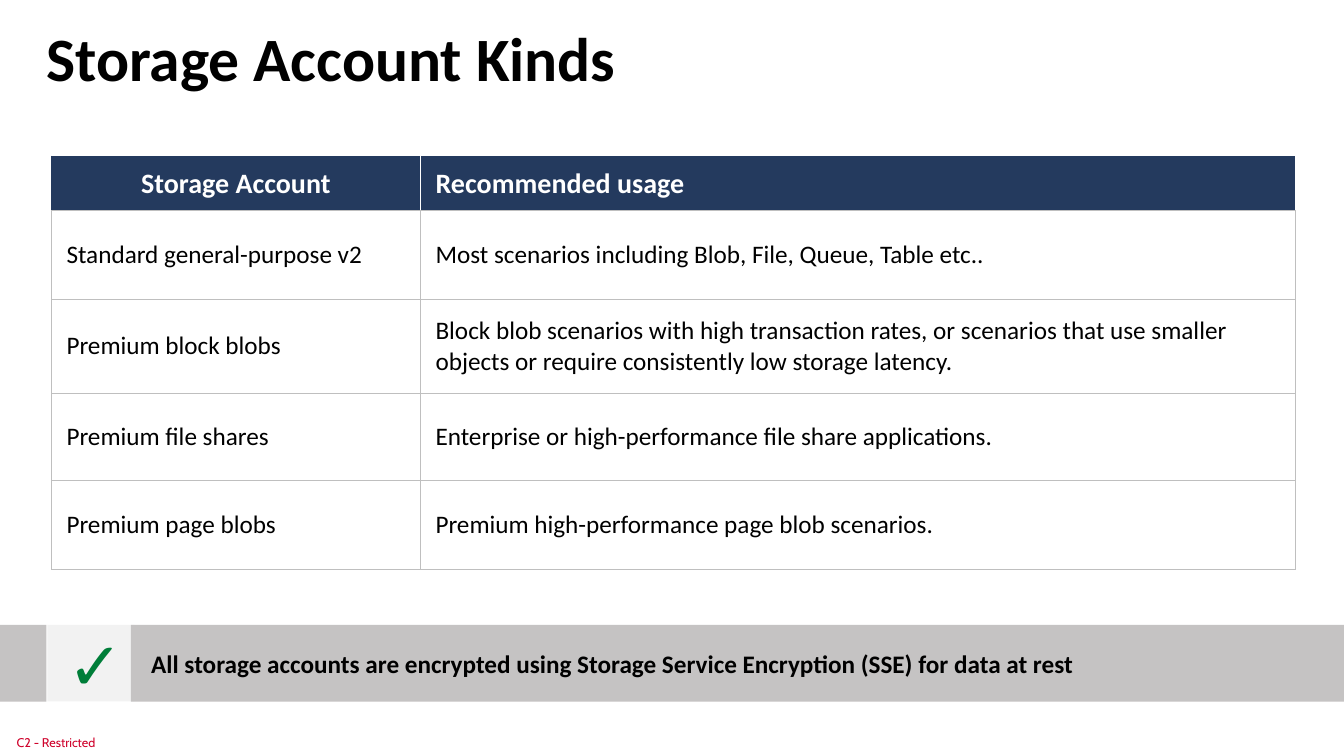
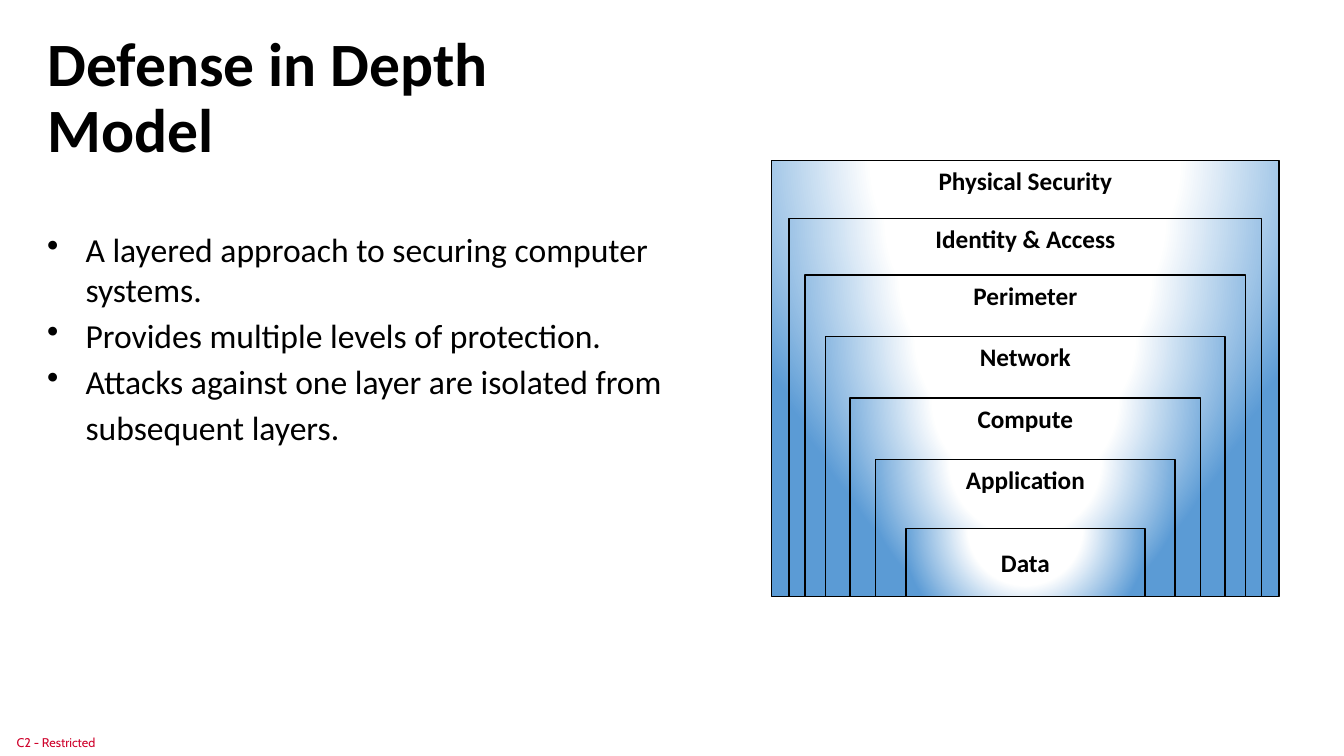
import pptx
import pptx.util
import pptx.dml.color
import pptx.enum.shapes
import pptx.enum.text
import pptx.oxml
import pptx.oxml.ns

Inches = pptx.util.Inches
Pt = pptx.util.Pt
RGBColor = pptx.dml.color.RGBColor
ALIGN = pptx.enum.text.PP_ALIGN
ANCHOR = pptx.enum.text.MSO_ANCHOR
RECT = pptx.enum.shapes.MSO_SHAPE.RECTANGLE

# Shared look
BLACK = RGBColor(0x00, 0x00, 0x00)
WHITE = RGBColor(0xFF, 0xFF, 0xFF)
NAVY = RGBColor(0x24, 0x3A, 0x5E)
RULE = RGBColor(0xBF, 0xBF, 0xBF)
BAND = RGBColor(0xC5, 0xC3, 0xC3)
TILE = RGBColor(0xF2, 0xF2, 0xF2)
GREEN = RGBColor(0x00, 0x7E, 0x39)
BLUE = RGBColor(0x5B, 0x9B, 0xD5)
RED = RGBColor(0xCF, 0x02, 0x2B)
FONT = "Calibri"
INSET = (0.1, 0.05, 0.1, 0.05)
WIDE, HIGH = 13.33, 7.5

# Slide content
KINDS = [
    ("Storage Account", "Recommended usage"),
    ("Standard general-purpose v2",
     "Most scenarios including Blob, File, Queue, Table etc.."),
    ("Premium block blobs",
     "Block blob scenarios with high transaction rates, or scenarios that "
     "use smaller objects or require consistently low storage latency."),
    ("Premium file shares",
     "Enterprise or high-performance file share applications."),
    ("Premium page blobs", "Premium high-performance page blob scenarios."),
]
POINTS = [
    "A layered approach to securing computer systems.",
    "Provides multiple levels of protection.",
    "Attacks against one layer are isolated from subsequent layers.",
]
# Name, top and width of each layer, from the outside in
LAYERS = [
    ("Physical Security", 1.59, 5.03),
    ("Identity & Access", 2.17, 4.69),
    ("Perimeter", 2.73, 4.37),
    ("Network", 3.34, 3.96),
    ("Compute", 3.95, 3.48),
    ("Application", 4.56, 2.97),
    ("Data", 5.24, 2.37),
]


def make_xml(text):
    """Read a snippet of drawing XML."""
    head, rest = text.split(">", 1)
    space = pptx.oxml.ns.nsdecls("a")
    return pptx.oxml.parse_xml(f"{head} {space}>{rest}")


def style(par, size, color, bold=False, align=ALIGN.LEFT, gap=None, font=FONT):
    """Format a paragraph and its runs."""
    par.alignment = align
    if gap:
        par.line_spacing = gap
    for run in par.runs:
        run.font.name = font
        run.font.size = Pt(size)
        run.font.bold = bold
        run.font.color.rgb = color


def set_frame(frame, inset=INSET, anchor=ANCHOR.TOP):
    frame.word_wrap = True
    frame.vertical_anchor = anchor
    (frame.margin_left, frame.margin_top,
     frame.margin_right, frame.margin_bottom) = map(Inches, inset)


def add_text(slide, box, text, inset=INSET, anchor=ANCHOR.TOP, **look):
    """Add a text box; each line of text is a paragraph."""
    frame = slide.shapes.add_textbox(*map(Inches, box)).text_frame
    set_frame(frame, inset, anchor)
    frame.text = text
    for par in frame.paragraphs:
        style(par, **look)
    return frame


def fill_shape(shape, back, text, inset, **look):
    """Give a shape a plain fill, no line and a label."""
    shape.shadow.inherit = False
    shape.line.fill.background()
    shape.fill.solid()
    shape.fill.fore_color.rgb = back
    set_frame(shape.text_frame, inset, ANCHOR.MIDDLE)
    shape.text_frame.text = text
    style(shape.text_frame.paragraphs[0], **look)


def add_slide(deck, title, box):
    """Add a slide with the shared title and footer."""
    slide = deck.slides.add_slide(deck.slide_layouts[6])
    add_text(slide, (0, 7.23, 1.11, 0.27), "C2 - Restricted", (0, 0, 0, 0),
             ANCHOR.MIDDLE, size=9, color=RED, align=ALIGN.CENTER, font="Cabin")
    add_text(slide, box, title, size=44, color=BLACK, bold=True, gap=0.9)
    return slide


# Table
def set_edges(cell, **edges):
    props = cell._tc.get_or_add_tcPr()
    for side in "LRTB":
        color = edges.get(side, RULE)
        props.append(make_xml(
            f'<a:ln{side} w="6350"><a:solidFill><a:srgbClr val="{color}"/>'
            f'</a:solidFill></a:ln{side}>'))


def add_table(slide, rows, left, top, wides, highs):
    frame = slide.shapes.add_table(
        len(rows), len(wides), Inches(left), Inches(top),
        Inches(sum(wides)), Inches(sum(highs)))
    table = frame.table
    table.horz_banding = False
    for col, wide in zip(table.columns, wides):
        col.width = Inches(wide)
    for y, (row, high) in enumerate(zip(rows, highs)):
        table.rows[y].height = Inches(high)
        for x, text in enumerate(row):
            cell = table.cell(y, x)
            cell.text = text
            cell.vertical_anchor = ANCHOR.MIDDLE
            cell.margin_left = cell.margin_right = Inches(0.15)
            cell.margin_top = cell.margin_bottom = Inches(0.1)
            par = cell.text_frame.paragraphs[0]
            if y == 0:
                set_edges(cell, L=WHITE if x else NAVY, T=NAVY, R=WHITE)
                cell.fill.solid()
                cell.fill.fore_color.rgb = NAVY
                style(par, 20, WHITE, True, ALIGN.LEFT if x else ALIGN.CENTER)
            else:
                set_edges(cell)
                cell.fill.background()
                style(par, 18, BLACK)


# Note band with a check tile
def add_note(slide, text, top, high):
    tile = slide.shapes.add_shape(
        RECT, Inches(0.47), Inches(top), Inches(0.86), Inches(high))
    fill_shape(tile, TILE, "✓", (0.2, 0.16, 0.2, 0.05),
               size=48, color=GREEN, bold=True, align=ALIGN.CENTER, gap=0.9)
    base = top + high
    pen = slide.shapes.build_freeform(Inches(1.3), Inches(top))
    for part, (left, right) in enumerate([(1.3, WIDE), (0, 0.46)]):
        if part:
            pen.move_to(Inches(left), Inches(top))
        ends = [(right, top), (right, base), (left, base)]
        pen.add_line_segments([(Inches(x), Inches(y)) for x, y in ends])
    fill_shape(pen.convert_to_shape(), BAND, text, (1.5, 0.16, 0.2, 0.16),
               size=18, color=BLACK, bold=True)


# Bullet list
def add_list(slide, box, items):
    frame = add_text(slide, box, "\n".join(items), anchor=ANCHOR.MIDDLE,
                     size=24, color=BLACK)
    for i, par in enumerate(frame.paragraphs):
        props = par._p.get_or_add_pPr()
        props.set("marL", str(Inches(0.38)))
        props.set("indent", str(-Inches(0.38)))
        props.append(make_xml('<a:buChar char="•"></a:buChar>'))
        if i:
            par.line_spacing = 1.14


# Nested layers
def set_glow(shape):
    """Fill a shape with a round gradient, white at the core."""
    shape.fill.background()
    props = shape._element.spPr
    stops = "".join(
        f'<a:gs pos="{spot * 1000}"><a:srgbClr val="{color}"/></a:gs>'
        for spot, color in [(0, WHITE), (46, WHITE), (100, BLUE)])
    glow = make_xml(
        f'<a:gradFill rotWithShape="1"><a:gsLst>{stops}</a:gsLst>'
        '<a:path path="circle"><a:fillToRect l="50000" t="-80000" '
        'r="50000" b="180000"/></a:path></a:gradFill>')
    props.replace(props.find(pptx.oxml.ns.qn("a:noFill")), glow)


def add_layers(slide, layers, mid, base):
    group = slide.shapes.add_group_shape()
    for name, top, wide in layers:
        shape = group.shapes.add_shape(
            RECT, Inches(mid - wide / 2), Inches(top),
            Inches(wide), Inches(base - top))
        shape.shadow.inherit = False
        set_glow(shape)
        shape.line.color.rgb = BLACK
        shape.line.width = Pt(1)
        last = name == layers[-1][0]
        set_frame(shape.text_frame,
                  anchor=ANCHOR.MIDDLE if last else ANCHOR.TOP)
        shape.text_frame.text = name
        style(shape.text_frame.paragraphs[0], 18, BLACK, True, ALIGN.CENTER)


def main():
    deck = pptx.Presentation()
    deck.slide_width = Inches(WIDE)
    deck.slide_height = Inches(HIGH)

    # Storage kinds
    slide = add_slide(deck, "Storage Account Kinds", (0.36, 0.23, 12.61, 0.45))
    add_table(slide, KINDS, 0.51, 1.55, (3.66, 8.68),
              (0.54, 0.88, 0.93, 0.87, 0.88))
    add_note(slide, "All storage accounts are encrypted using Storage Service "
             "Encryption (SSE) for data at rest", 6.2, 0.76)

    # Defense layers
    slide = add_slide(deck, "Defense in Depth Model", (0.37, 0.28, 6.3, 0.74))
    add_list(slide, (0.37, 1.79, 6.7, 3.13), POINTS)
    add_layers(slide, LAYERS, 10.17, 5.92)

    deck.save("out.pptx")


if __name__ == "__main__":
    main()
